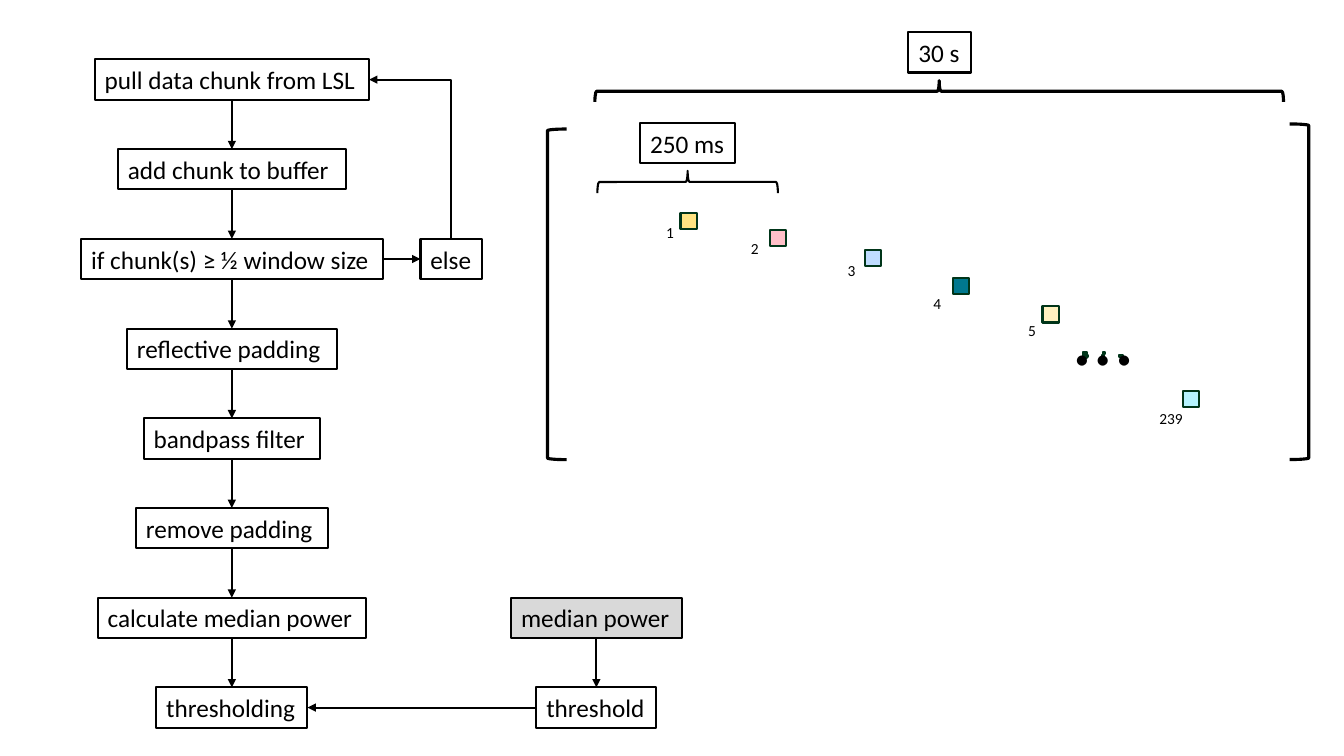
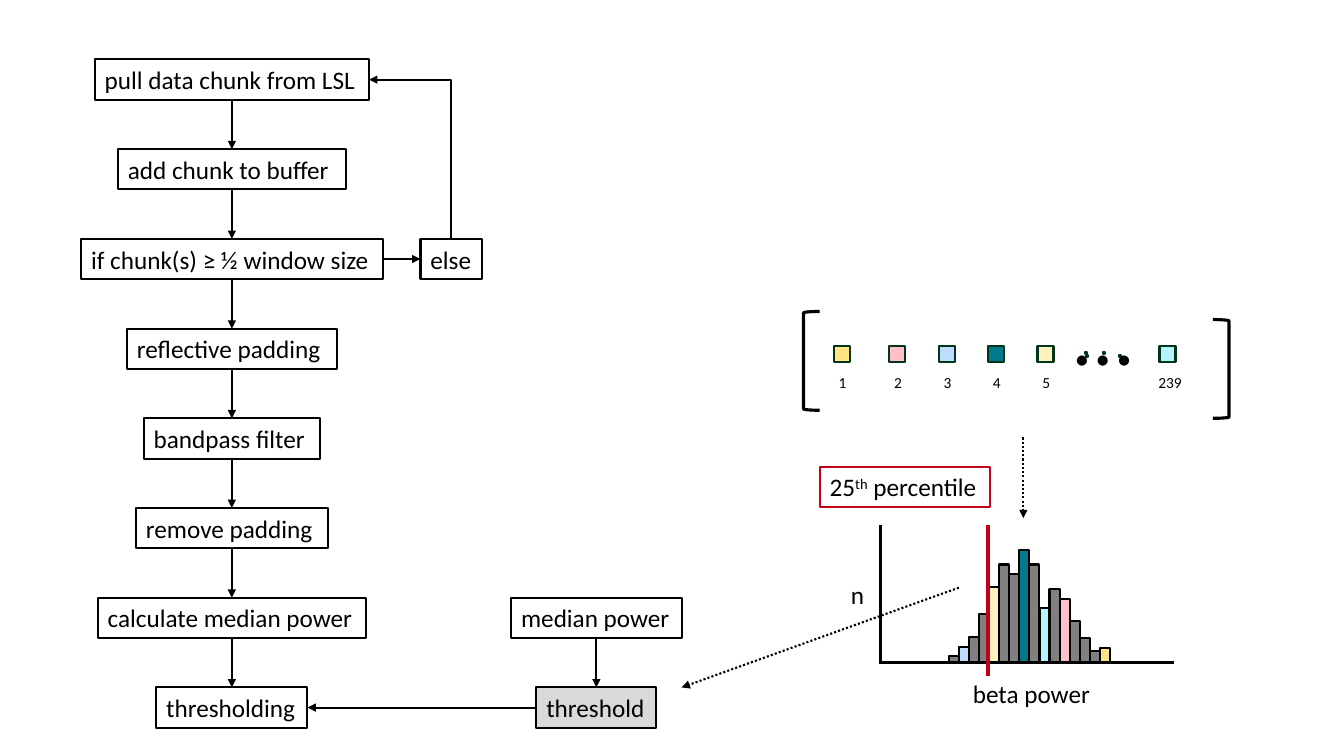
"""Build two slides that explain a threshold from buffered data chunks."""
from dataclasses import dataclass

from lxml import etree
from pptx import Presentation
from pptx import util as u
from pptx.dml.color import RGBColor
from pptx.enum import dml, shapes, text
from pptx.oxml.ns import qn


@dataclass(frozen=True)
class Theme:
    font: str = "Calibri"
    body: int = 18
    small: int = 11
    huge: int = 60
    thin: float = 1.5
    thick: float = 2.25
    bold: float = 3
    ink: str = "000000"
    paper: str = "FFFFFF"
    edge: str = "003519"
    red: str = "C20019"
    mark: str = "D9D9D9"
    grey: str = "808080"
    gold: str = "FFE482"
    pink: str = "FFC0C8"
    blue: str = "BFDCFF"
    teal: str = "00788E"
    cream: str = "FFF1C0"
    aqua: str = "B5F4FF"


T = Theme()
KIND = shapes.MSO_SHAPE
TOP, LEFT, BASE, RIGHT = range(4)
MID, FIRST, STEP, TALL = 2.3, 0.59, 0.89, 0.4
CHUNKS = {"1": T.gold, "2": T.pink, "3": T.blue, "4": T.teal, "5": T.cream, "239": T.aqua}
STEPS = [
    ("pull data chunk from LSL", 2.72),
    ("add chunk to buffer", 2.26),
    ("if chunk(s) ≥ ½ window size", 2.99),
    ("reflective padding", 2.08),
    ("bandpass filter", 1.75),
    ("remove padding", 1.9),
    ("calculate median power", 2.66),
    ("thresholding", 1.5),
]
DOTS = [(10.76, 3.49), (10.94, 3.49), (11.1, 3.52), (10.77, 3.52)]
MORE = [(10.76, 3.53), (10.93, 3.52), (10.74, 3.49), (11.12, 3.52), (10.76, 3.5), (10.74, 3.51)]
BARS = [
    (0.07, T.grey), (0.16, T.blue), (0.26, T.grey), (0.49, T.grey),
    (0.76, T.cream), (0.98, T.grey), (0.89, T.grey), (1.12, T.teal),
    (0.98, T.grey), (0.55, T.aqua), (0.74, T.grey), (0.64, T.pink),
    (0.42, T.grey), (0.25, T.grey), (0.12, T.grey), (0.15, T.gold),
]


def inch(*sizes):
    return [u.Inches(size) for size in sizes]


def paint(line, color, width):
    line.color.rgb = RGBColor.from_string(color)
    line.width = u.Pt(width)


def shape(slide, at, kind=KIND.RECTANGLE, fill=None, edge=T.ink, width=T.thin, turn=0):
    item = slide.shapes.add_shape(kind, *inch(*at))
    item.shadow.inherit = False
    item.rotation = turn
    if fill:
        item.fill.solid()
        item.fill.fore_color.rgb = RGBColor.from_string(fill)
    else:
        item.fill.background()
    paint(item.line, edge, width)
    return item


def write(item, words, size=T.body):
    frame = item.text_frame
    frame.word_wrap = True
    frame.margin_right = 0
    frame.auto_size = text.MSO_AUTO_SIZE.SHAPE_TO_FIT_TEXT
    para = frame.paragraphs[0]
    para.alignment = text.PP_ALIGN.LEFT
    para.font.name = T.font
    para.font.size = u.Pt(size)
    para.font.color.rgb = RGBColor.from_string(T.ink)
    for word in [words] if isinstance(words, str) else words:
        para.add_run().text = word
    return para


def box(slide, words, at, fill=None, edge=T.ink):
    item = shape(slide, at, fill=fill, edge=edge)
    write(item, words)
    return item


def label(slide, words, at, size=T.body):
    write(slide.shapes.add_textbox(*inch(*at)), words, size)


def finish(link, color=T.ink, width=T.thin, arrow=True, dots=False):
    paint(link.line, color, width)
    if dots:
        link.line.dash_style = dml.MSO_LINE.ROUND_DOT
    props = link._element.spPr
    if arrow:
        etree.SubElement(props.find(qn("a:ln")), qn("a:tailEnd"), type="triangle")
    etree.SubElement(props, qn("a:effectLst"))


def line(slide, start, end, **style):
    link = slide.shapes.add_connector(shapes.MSO_CONNECTOR.STRAIGHT, *inch(*start, *end))
    finish(link, **style)


def glue(slide, one, out, two, into, kind=shapes.MSO_CONNECTOR.STRAIGHT):
    link = slide.shapes.add_connector(kind, 0, 0, 0, 0)
    link.begin_connect(one, out)
    link.end_connect(two, into)
    return link


def join(slide, one, out, two, into):
    finish(glue(slide, one, out, two, into))


def loop(slide, one, two):
    """Lead from the top of one box up and left into the side of another."""
    link = glue(slide, one, TOP, two, RIGHT, shapes.MSO_CONNECTOR.ELBOW)
    wide, tall = link.width, link.height
    shift = (tall - wide) // 2
    link.left, link.top = link.left - shift, link.top + shift
    link.width, link.height = tall, wide
    props = link._element.spPr
    frame = props.find(qn("a:xfrm"))
    for key, value in (("rot", "16200000"), ("flipH", "0"), ("flipV", "1")):
        frame.set(key, value)
    props.find(qn("a:prstGeom")).set("prst", "bentConnector2")
    finish(link)


def flow(slide, power=None, limit=None):
    """Draw the steps that both slides share."""
    tops = [FIRST + row * STEP for row in range(len(STEPS))]
    chain = [
        box(slide, words, (MID - wide / 2, top, wide, TALL), None if row else T.paper)
        for row, ((words, wide), top) in enumerate(zip(STEPS, tops))
    ]
    for one, two in zip(chain, chain[1:]):
        join(slide, one, BASE, two, TOP)
    other = box(slide, "else", (4.17, tops[2], 0.61, TALL))
    join(slide, chain[2], RIGHT, other, LEFT)
    loop(slide, other, chain[0])
    median = box(slide, "median power", (5.07, tops[6], 1.69, TALL), power)
    bound = box(slide, "threshold", (5.32, tops[7], 1.19, TALL), limit)
    join(slide, median, BASE, bound, TOP)
    join(slide, bound, LEFT, chain[-1], RIGHT)


def chunks(slide, spots, notes, dots):
    """Draw the numbered chunks and the gap before the last one."""
    for (name, fill), spot, note in zip(CHUNKS.items(), spots, notes):
        shape(slide, (*spot, 0.16, 0.16), fill=fill, edge=T.edge)
        label(slide, name, (*note, 0.49 if len(name) > 1 else 0.37, 0.29), T.small)
    for dot in dots:
        shape(slide, (*dot, 0.02, 0.02), fill=T.grey, edge=T.edge)
    label(slide, "…", (10.56, 2.74, 0.78, 1.11), T.huge)


def fence(slide, left, right):
    for kind, at in ((KIND.LEFT_BRACKET, left), (KIND.RIGHT_BRACKET, right)):
        shape(slide, at, kind, width=T.thick)


def brace(slide, at, width):
    shape(slide, at, KIND.LEFT_BRACE, width=width, turn=90)


def bars(slide, left=9.41, base=6.58, wide=0.1):
    """Draw the histogram with its axes and cut-off."""
    for col, (tall, fill) in enumerate(BARS):
        shape(slide, (left + col * wide, base - tall, wide, tall), fill=fill)
    line(slide, (8.73, 6.59), (8.73, 5.21), width=T.thick, arrow=False)
    line(slide, (8.73, 6.57), (11.64, 6.57), width=T.thick, arrow=False)
    line(slide, (9.8, 5.21), (9.8, 6.71), color=T.red, width=T.bold, arrow=False)
    label(slide, "n", (8.34, 5.7, 0.34, TALL))
    label(slide, "beta power", (9.55, 6.68, 1.38, TALL))


def window(slide):
    """Show how chunks fill the time window."""
    spots = [(6.75, 2.11), (7.64, 2.28), (8.58, 2.48), (9.45, 2.76), (10.34, 3.04), (11.73, 3.88)]
    notes = [(6.51, 2.16), (7.35, 2.32), (8.31, 2.54), (9.16, 2.87), (10.1, 3.14), (11.4, 4.01)]
    chunks(slide, spots, notes, DOTS + MORE)
    fence(slide, (5.43, 1.28, 0.19, 3.28), (12.79, 1.23, 0.19, 3.33))
    brace(slide, (6.71, 0.91, 0.22, 1.79), T.thin)
    brace(slide, (9.21, -2.51, 0.21, 6.83), T.thick)
    box(slide, "250 ms", (6.35, 1.22, 0.94, TALL))
    box(slide, "30 s", (9.01, 0.32, 0.62, TALL))
    flow(slide, power=T.mark)


def cutoff(slide):
    """Show how the chunks yield the threshold."""
    lefts = [8.27, 8.82, 9.31, 9.8, 10.29, 11.5]
    edges = [8.22, 8.77, 9.26, 9.75, 10.24, 11.39]
    chunks(slide, [(x, 3.43) for x in lefts], [(x, 3.65) for x in edges], DOTS)
    fence(slide, (7.97, 3.09, 0.16, 0.98), (12.03, 3.17, 0.16, 0.98))
    bars(slide)
    line(slide, (10.15, 4.34), (10.15, 5.14), dots=True)
    line(slide, (9.51, 5.83), (6.76, 6.82), dots=True)
    rank = shape(slide, (8.13, 4.63, 1.69, TALL), edge=T.red)
    para = write(rank, ("25", "th", " percentile"))
    para.runs[1]._r.get_or_add_rPr().set("baseline", "30000")
    flow(slide, limit=T.mark)


def main():
    deck = Presentation()
    deck.slide_width, deck.slide_height = inch(13.33, 7.5)
    for draw in (window, cutoff):
        draw(deck.slides.add_slide(deck.slide_layouts[6]))
    deck.save("out.pptx")


if __name__ == "__main__":
    main()
